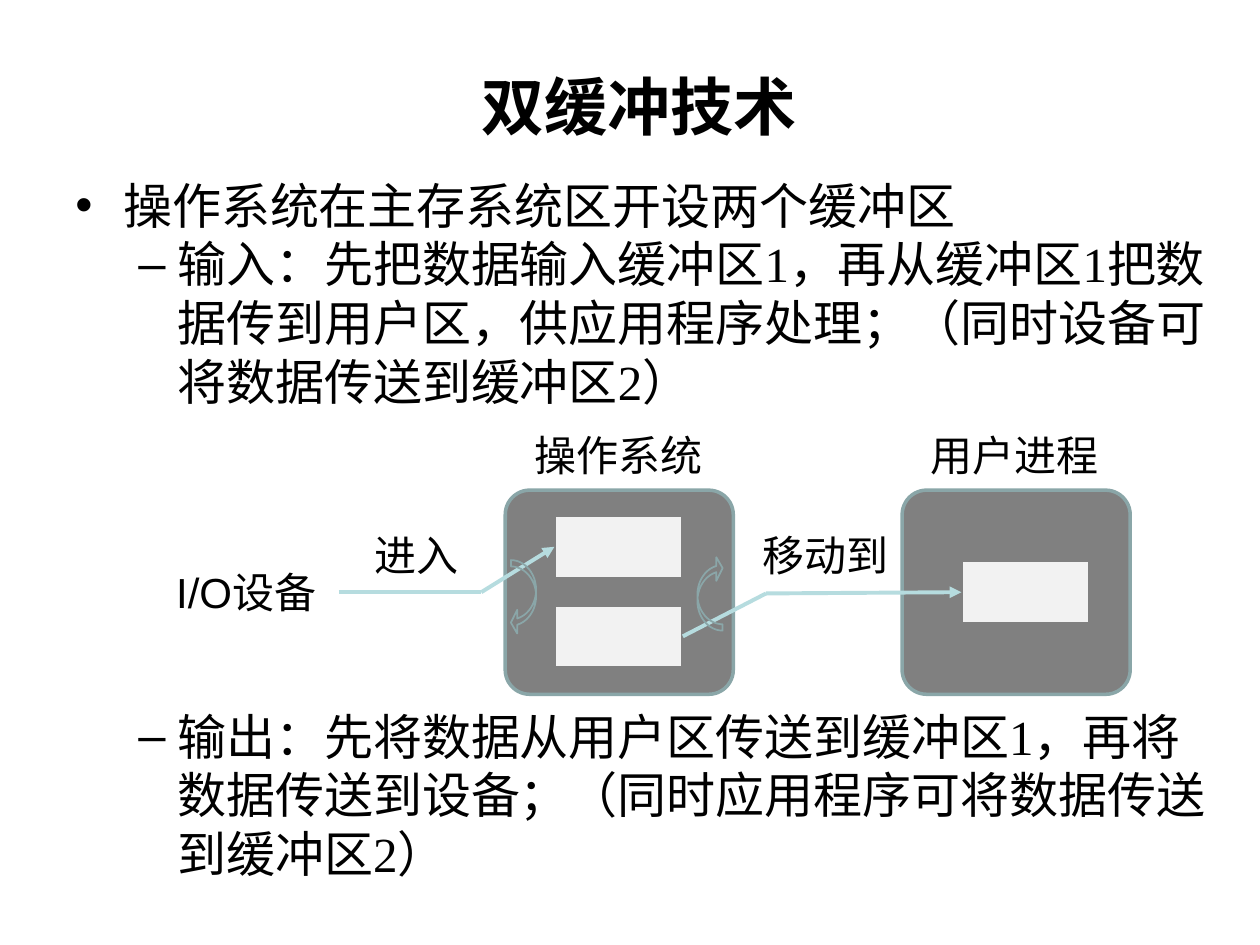
import pptx
import pptx.util
import pptx.dml.color
import pptx.enum.shapes
import pptx.enum.text
import pptx.oxml
import pptx.oxml.ns
from dataclasses import dataclass
from lxml import etree

Inches, Pt = pptx.util.Inches, pptx.util.Pt
RGB = pptx.dml.color.RGBColor.from_string
SHAPE = pptx.enum.shapes.MSO_SHAPE
qn = pptx.oxml.ns.qn


@dataclass(frozen=True)
class Theme:
    ink: str = "000000"
    panel: str = "808080"
    edge: str = "8AA6A8"
    buffer: str = "F2F2F2"
    flow: str = "B6DCDF"
    sans: str = "Arial"
    serif: str = "Times New Roman"
    title_size: int = 36
    body_size: int = 28
    label_size: int = 24


theme = Theme()
deck = pptx.Presentation()
deck.slide_width, deck.slide_height = Inches(10), Inches(7.5)
slide = deck.slides.add_slide(deck.slide_layouts[6])


def add_text(left, top, width, height, text, size, face, wrap=True):
    box = slide.shapes.add_textbox(Inches(left), Inches(top), Inches(width), Inches(height))
    box.text_frame.text = text
    box.text_frame.word_wrap = wrap
    for paragraph in box.text_frame.paragraphs:
        for run in paragraph.runs:
            run.font.size = Pt(size)
            run.font.name = face
            run.font.color.rgb = RGB(theme.ink)
    return box


def add_block(kind, left, top, width, height, fill, line, line_width):
    block = slide.shapes.add_shape(kind, Inches(left), Inches(top), Inches(width), Inches(height))
    block.shadow.inherit = False
    if fill:
        block.fill.solid()
        block.fill.fore_color.rgb = RGB(fill)
    else:
        block.fill.background()
    block.line.color.rgb = RGB(line)
    block.line.width = Pt(line_width)
    return block


title = add_text(0.57, 0.21, 9, 1.25, "双缓冲技术", theme.title_size, theme.sans)
title.text_frame.vertical_anchor = pptx.enum.text.MSO_ANCHOR.MIDDLE
title.text_frame.paragraphs[0].alignment = pptx.enum.text.PP_ALIGN.CENTER
title.text_frame.paragraphs[0].runs[0].font.bold = True

# Text, bullet, left margin, hanging indent, space before in points;
# the last item leaves room for the diagram.
points = [
    ("操作系统在主存系统区开设两个缓冲区", "•", 0.38, -0.38, 0),
    ("输入：先把数据输入缓冲区1，再从缓冲区1把数据传到用户区，供应用程序处理；"
     "（同时设备可将数据传送到缓冲区2）", "–", 0.81, -0.31, 0),
    ("输出：先将数据从用户区传送到缓冲区1，再将数据传送到设备；"
     "（同时应用程序可将数据传送到缓冲区2）", "–", 0.81, -0.31, 169),
]
body = add_text(0.5, 1.34, 9.22, 6.11, "\n".join(point[0] for point in points),
                theme.body_size, theme.serif)
for paragraph, (_, bullet, margin, indent, gap) in zip(body.text_frame.paragraphs, points):
    paragraph.space_before = Pt(gap)
    properties = paragraph._p.get_or_add_pPr()
    properties.set("marL", str(Inches(margin)))
    properties.set("indent", str(Inches(indent)))
    etree.SubElement(properties, qn("a:buFont")).set("typeface", theme.sans)
    etree.SubElement(properties, qn("a:buChar")).set("char", bullet)

# Operating system and user process
for left in (4.01, 7.16):
    panel = add_block(SHAPE.ROUNDED_RECTANGLE, left, 3.89, 1.81, 1.62,
                      theme.panel, theme.edge, 2)
    panel.adjustments[0] = 0.12

buffer_1, buffer_2, user_area = [
    add_block(SHAPE.RECTANGLE, left, top, 1.02, 0.5, theme.buffer, theme.panel, 2)
    for left, top in ((4.4, 4.09), (4.4, 4.8), (7.63, 4.45))
]

device, *_ = [
    add_text(left, top, width, 0.5, text, theme.label_size, theme.sans, wrap=False)
    for text, left, top, width in (
        ("I/O设备", 1.3, 4.45, 1.39),
        ("操作系统", 4.14, 3.36, 1.55),
        ("用户进程", 7.29, 3.36, 1.55),
        ("进入", 2.87, 4.15, 0.88),
        ("移动到", 5.95, 4.15, 1.21),
    )
]

# Each flow runs from a right side through a bend to a left side.
for source, bend, target in (
    (device, (3.82, 4.7), buffer_1),
    (buffer_2, (6.08, 4.71), user_area),
):
    x, y = Inches(bend[0]), Inches(bend[1])
    approach, entry = [
        slide.shapes.add_connector(pptx.enum.shapes.MSO_CONNECTOR.STRAIGHT, x, y, x, y)
        for _ in range(2)
    ]
    approach.begin_connect(source, 3)
    entry.end_connect(target, 1)
    for segment in (approach, entry):
        segment.line.color.rgb = RGB(theme.flow)
        segment.line.width = Pt(2.25)
        etree.SubElement(segment._element.spPr, qn("a:effectLst"))
    etree.SubElement(entry.line._get_or_add_ln(), qn("a:tailEnd")).set("type", "triangle")

# The two buffers swap roles in turn
for left, top, rotation in ((3.86, 4.64, 90), (5.34, 4.61, 270)):
    swap = add_block(SHAPE.CURVED_UP_ARROW, left, top, 0.59, 0.2, None, theme.edge, 1)
    swap.rotation = rotation
    swap._element.spPr.find(qn("a:xfrm")).set("flipV", "1")
    for index, value in enumerate((0.25, 0.94, 0.25)):
        swap.adjustments[index] = value

deck.save("out.pptx")
